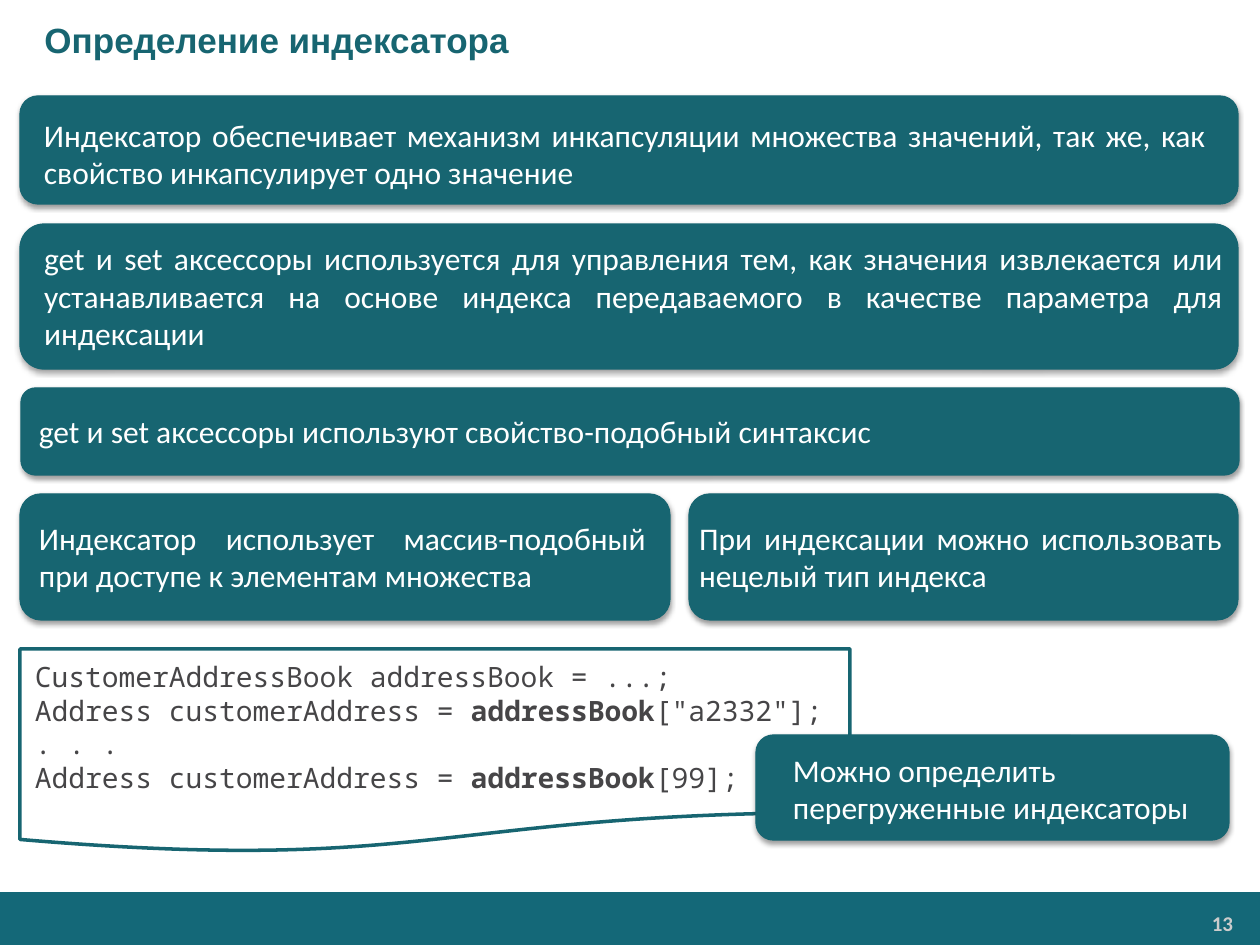
from dataclasses import dataclass

from lxml import etree
from pptx import Presentation
from pptx import util as u
from pptx.dml.color import RGBColor
from pptx.enum import shapes, text
from pptx.oxml import ns

PX = 914400 / 126


@dataclass(frozen=True)
class Theme:
    teal: str = "176571"
    footer: str = "146878"
    white: str = "FFFFFF"
    code: str = "464547"
    number: str = "CCCCCC"
    title_font: str = "Arial"
    body_font: str = "Calibri"
    code_font: str = "Noto Sans Mono"
    title_size: int = 20
    body_size: int = 18
    code_size: int = 16
    number_size: int = 12


THEME = Theme()
JUSTIFY = text.PP_ALIGN.JUSTIFY
LEFT = text.PP_ALIGN.LEFT

# Each card: outer bounds, label bounds, wording, alignment.
CARDS = [
    ((20, 96, 1218, 108), (44, 115, 1162, 77),
     "Индексатор обеспечивает механизм инкапсуляции множества значений, "
     "так же, как свойство инкапсулирует одно значение", JUSTIFY),
    ((20, 224, 1218, 145), (44, 238, 1179, 115),
     "get и set аксессоры используется для управления тем, как значения "
     "извлекается или устанавливается на основе индекса передаваемого в "
     "качестве параметра для индексации", JUSTIFY),
    ((21, 388, 1218, 87), (39, 412, 1172, 38),
     "get и set аксессоры используют свойство-подобный синтаксис", JUSTIFY),
    ((20, 494, 650, 126), (39, 518, 607, 77),
     "Индексатор использует массив-подобный при доступе к элементам множества",
     JUSTIFY),
    ((689, 494, 549, 126), (699, 518, 523, 77),
     "При индексации можно использовать нецелый тип индекса", JUSTIFY),
]
CALLOUT = ((756, 735, 473, 105), (793, 750, 431, 77),
           "Можно определить перегруженные индексаторы", LEFT)

# Each code line: spans of (wording, bold).
CODE = [
    [("CustomerAddressBook addressBook = ...;", False)],
    [("Address customerAddress = ", False), ("addressBook", True),
     ('["a2332"];', False)],
    [(". . .", False)],
    [("Address customerAddress = ", False), ("addressBook", True),
     ("[99];", False)],
]


def px(*lengths):
    return [u.Emu(round(length * PX)) for length in lengths]


def style_span(span, font, size, color, bold=False):
    span.font.name = font
    span.font.size = u.Pt(size)
    span.font.color.rgb = RGBColor.from_string(color)
    span.font.bold = bold


def set_frame(box, margins=(0, 0), anchor=text.MSO_ANCHOR.MIDDLE):
    frame = box.text_frame
    frame.word_wrap = True
    frame.vertical_anchor = anchor
    frame.margin_left = frame.margin_right = px(margins[0])[0]
    frame.margin_top = frame.margin_bottom = px(margins[1])[0]
    return frame


def add_panel(parent, kind, bounds, fill, line=None, width=1):
    panel = parent.shapes.add_shape(kind, *px(*bounds))
    panel.shadow.inherit = False
    panel.fill.solid()
    panel.fill.fore_color.rgb = RGBColor.from_string(fill)
    if line:
        panel.line.color.rgb = RGBColor.from_string(line)
        panel.line.width = u.Pt(width)
    else:
        panel.line.fill.background()
    return panel


def add_drop_shadow(panel):
    effects = panel._element.spPr.find(ns.qn("a:effectLst"))
    shadow = etree.SubElement(
        effects, ns.qn("a:outerShdw"), blurRad=str(u.Pt(3)),
        dist=str(u.Pt(1.6)), dir="5400000", rotWithShape="0")
    color = etree.SubElement(shadow, ns.qn("a:srgbClr"), val="000000")
    etree.SubElement(color, ns.qn("a:alpha"), val="38000")


def add_card(page, bounds, label_bounds, wording, alignment):
    group = page.shapes.add_group_shape()
    card = add_panel(group, shapes.MSO_SHAPE.ROUNDED_RECTANGLE, bounds,
                     THEME.teal, THEME.teal, 0.75)
    add_drop_shadow(card)
    label = add_panel(group, shapes.MSO_SHAPE.RECTANGLE, label_bounds,
                      THEME.teal, THEME.teal)
    frame = set_frame(label)
    frame.text = wording
    para = frame.paragraphs[0]
    para.alignment = alignment
    style_span(para.runs[0], THEME.body_font, THEME.body_size, THEME.white)


def add_code(page):
    group = page.shapes.add_group_shape()
    add_panel(group, shapes.MSO_SHAPE.FLOWCHART_DOCUMENT, (20, 649, 830, 204),
              THEME.white, THEME.teal, 2)
    frame = set_frame(group.shapes.add_textbox(*px(35, 659, 830, 136)))
    for index, spans in enumerate(CODE):
        para = frame.add_paragraph() if index else frame.paragraphs[0]
        for wording, bold in spans:
            span = para.add_run()
            span.text = wording
            style_span(span, THEME.code_font, THEME.code_size, THEME.code, bold)


def add_footer(page):
    add_panel(page, shapes.MSO_SHAPE.RECTANGLE, (0, 892, 1261, 54), THEME.footer)
    box = page.shapes.add_textbox(*px(1037, 906, 205, 35))
    frame = set_frame(box, (9, 5), text.MSO_ANCHOR.TOP)
    frame.text = "13"
    para = frame.paragraphs[0]
    para.alignment = text.PP_ALIGN.RIGHT
    style_span(para.runs[0], THEME.body_font, THEME.number_size,
               THEME.number, True)


def set_title(page, wording):
    title = page.shapes.title
    title.left, title.top, title.width, title.height = px(0, 0, 1260, 79)
    frame = set_frame(title, (13, 6))
    frame.auto_size = text.MSO_AUTO_SIZE.NONE
    frame.text = wording
    para = frame.paragraphs[0]
    para.alignment = LEFT
    para._p.get_or_add_pPr().set("marL", str(u.Inches(0.25)))
    style_span(para.runs[0], THEME.title_font, THEME.title_size,
               THEME.teal, True)


def main():
    deck = Presentation()
    deck.slide_width, deck.slide_height = px(1260, 945)
    page = deck.slides.add_slide(deck.slide_layouts[5])
    set_title(page, "Определение индексатора")
    add_footer(page)
    for card in CARDS:
        add_card(page, *card)
    add_code(page)
    add_card(page, *CALLOUT)
    deck.save("out.pptx")


if __name__ == "__main__":
    main()
